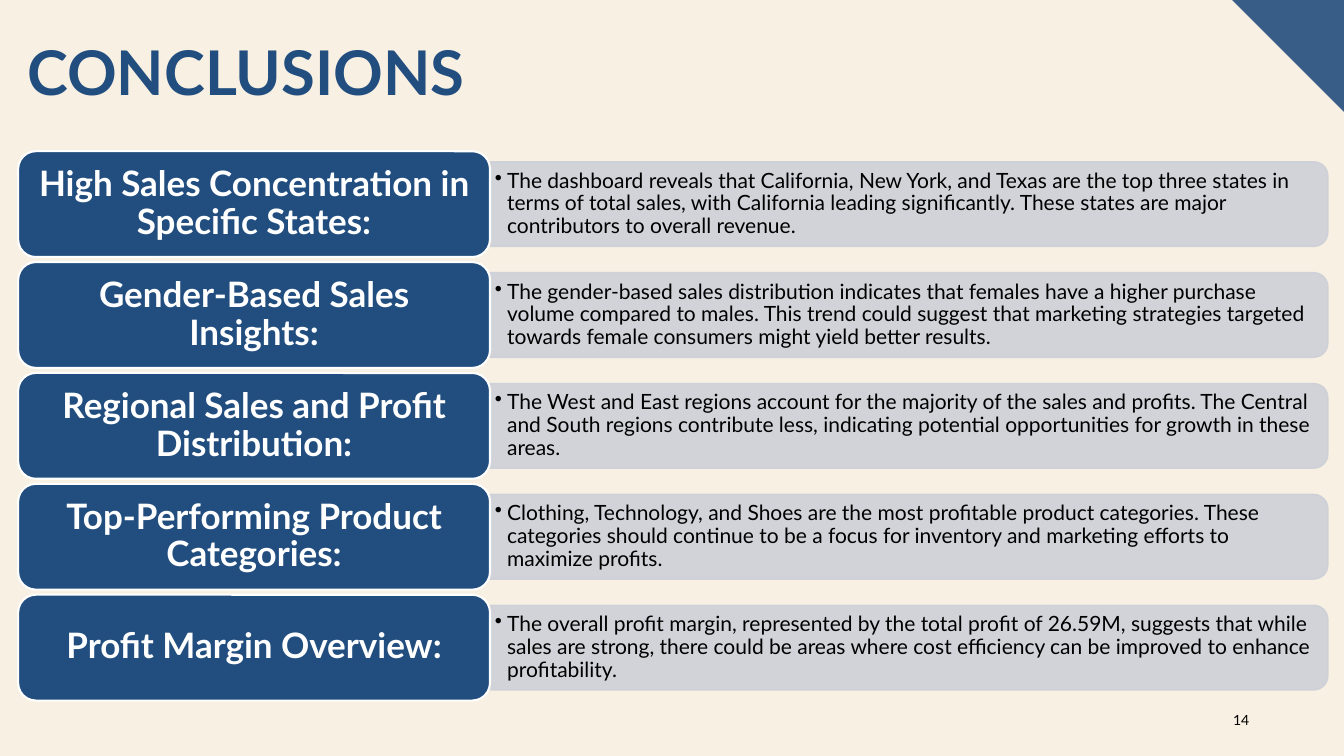
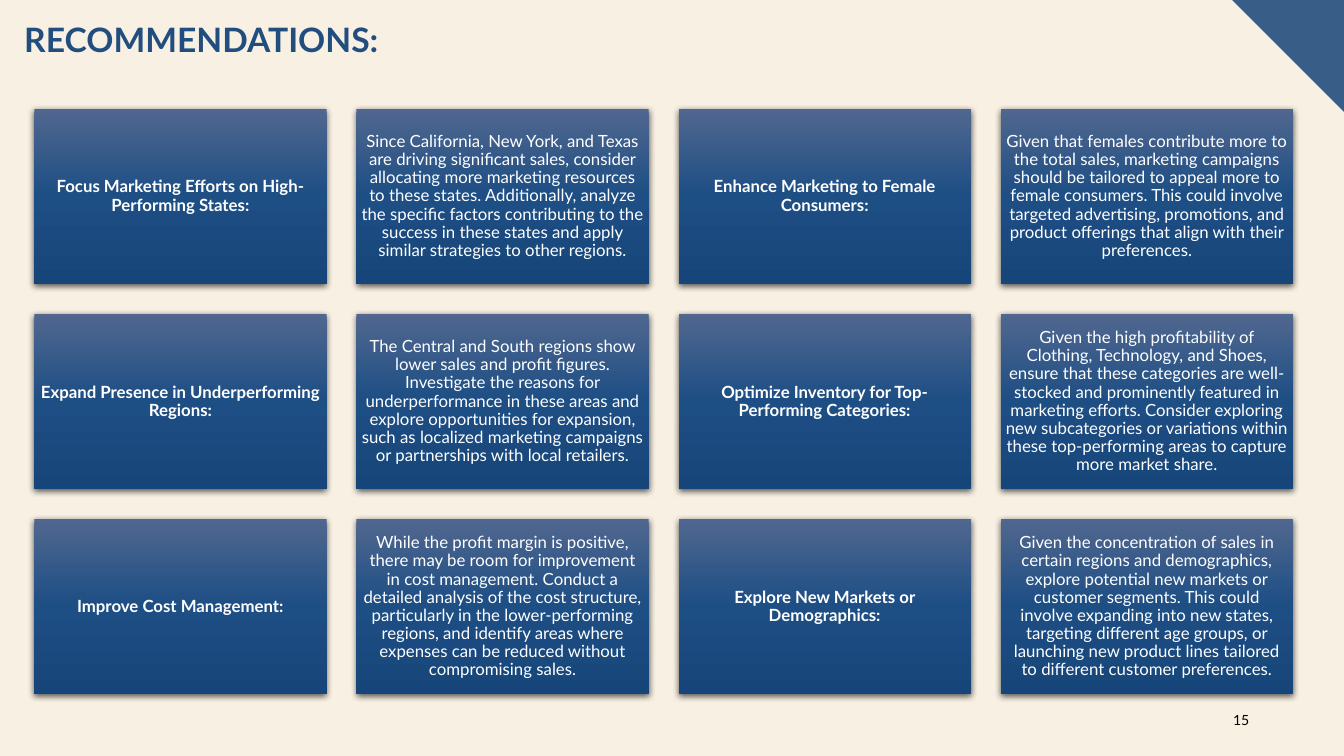
from copy import deepcopy

from lxml import etree
from pptx import Presentation
from pptx.dml.color import RGBColor
from pptx.enum import shapes, text
from pptx.oxml.ns import qn
from pptx.util import Inches, Pt

# Content
CLOSING = [
    ("High Sales Concentration in Specific States:",
     "The dashboard reveals that California, New York, and Texas are the top three states in terms of "
     "total sales, with California leading significantly. These states are major contributors to "
     "overall revenue."),
    ("Gender-Based Sales Insights:",
     "The gender-based sales distribution indicates that females have a higher purchase volume compared "
     "to males. This trend could suggest that marketing strategies targeted towards female consumers "
     "might yield better results."),
    ("Regional Sales and Profit Distribution:",
     "The West and East regions account for the majority of the sales and profits. The Central and South "
     "regions contribute less, indicating potential opportunities for growth in these areas."),
    ("Top-Performing Product Categories:",
     "Clothing, Technology, and Shoes are the most profitable product categories. These categories "
     "should continue to be a focus for inventory and marketing efforts to maximize profits."),
    ("Profit Margin Overview:",
     "The overall profit margin, represented by the total profit of 26.59M, suggests that while sales "
     "are strong, there could be areas where cost efficiency can be improved to enhance profitability."),
]
ADVICE = [
    ("Focus Marketing Efforts on High-Performing States:",
     "Since California, New York, and Texas are driving significant sales, consider allocating more "
     "marketing resources to these states. Additionally, analyze the specific factors contributing to "
     "the success in these states and apply similar strategies to other regions."),
    ("Enhance Marketing to Female Consumers:",
     "Given that females contribute more to the total sales, marketing campaigns should be tailored to "
     "appeal more to female consumers. This could involve targeted advertising, promotions, and product "
     "offerings that align with their preferences."),
    ("Expand Presence in Underperforming Regions:",
     "The Central and South regions show lower sales and profit figures. Investigate the reasons for "
     "underperformance in these areas and explore opportunities for expansion, such as localized "
     "marketing campaigns or partnerships with local retailers."),
    ("Optimize Inventory for Top-Performing Categories:",
     "Given the high profitability of Clothing, Technology, and Shoes, ensure that these categories are "
     "well-stocked and prominently featured in marketing efforts. Consider exploring new subcategories "
     "or variations within these top-performing areas to capture more market share."),
    ("Improve Cost Management:",
     "While the profit margin is positive, there may be room for improvement in cost management. Conduct "
     "a detailed analysis of the cost structure, particularly in the lower-performing regions, and "
     "identify areas where expenses can be reduced without compromising sales."),
    ("Explore New Markets or Demographics:",
     "Given the concentration of sales in certain regions and demographics, explore potential new "
     "markets or customer segments. This could involve expanding into new states, targeting different "
     "age groups, or launching new product lines tailored to different customer preferences."),
]

# Shared style
FONT = "Lato"
CREAM = RGBColor(0xF8, 0xF0, 0xE3)
NAVY = RGBColor(0x22, 0x4E, 0x7F)
CORNER = RGBColor(0x38, 0x5E, 0x88)
GREY = RGBColor(0xCD, 0xD0, 0xD8)
WHITE = RGBColor(0xFF, 0xFF, 0xFF)
BLACK = RGBColor(0, 0, 0)
BLEND = [(0, RGBColor(0x50, 0x67, 0x8F)), (0.5, RGBColor(0x1D, 0x4E, 0x84)),
         (1, RGBColor(0x16, 0x45, 0x79))]
SHAPE = shapes.MSO_SHAPE
LEFT, CENTER, RIGHT = text.PP_ALIGN.LEFT, text.PP_ALIGN.CENTER, text.PP_ALIGN.RIGHT
TOP, MIDDLE = text.MSO_ANCHOR.TOP, text.MSO_ANCHOR.MIDDLE


def write(shape, words, size, color, bold=False, align=CENTER, anchor=MIDDLE, pad=(0.1, 0.05)):
    frame = shape.text_frame
    frame.word_wrap = True
    frame.auto_size = text.MSO_AUTO_SIZE.NONE
    frame.vertical_anchor = anchor
    frame.margin_left = frame.margin_right = Inches(pad[0])
    frame.margin_top = frame.margin_bottom = Inches(pad[1])
    para = frame.paragraphs[0]
    para.alignment, para.line_spacing = align, 0.9
    run = para.add_run()
    run.text = words
    run.font.name, run.font.size, run.font.bold = FONT, Pt(size), bold
    run.font.color.rgb = color
    return para


def draw(slide, kind, box, fill=None, line=None, width=1):
    shape = slide.shapes.add_shape(kind, *map(Inches, box))
    shape.shadow.inherit = False
    if fill is not None:
        shape.fill.solid()
        shape.fill.fore_color.rgb = fill
    if line is None:
        shape.line.fill.background()
    else:
        shape.line.color.rgb, shape.line.width = line, Pt(width)
    return shape


def label(slide, box, *args, **style):
    return write(slide.shapes.add_textbox(*map(Inches, box)), *args, **style)


def fade(parent, percent):
    etree.SubElement(parent, qn("a:alpha"), val=str(percent * 1000))


def start(deck, title, size, box, number):
    slide = deck.slides.add_slide(deck.slide_layouts[5])
    corner = draw(slide, SHAPE.RIGHT_TRIANGLE, (12.22, 0, 1.11, 1.11), CORNER)
    corner.rotation = 180
    head = slide.shapes.title
    head.left, head.top, head.width, head.height = map(Inches, box)
    write(head, title, size, NAVY, True, LEFT, TOP)
    label(slide, (11.99, 6.95, 0.5, 0.4), number, 10, BLACK, align=RIGHT)
    return slide


# Row: grey bar with a bullet, navy tab on its left end
def row(slide, top, name, note):
    tall, long, left = 0.84, 8.31, 4.86
    mid = top + 1.05 / 2
    bar = draw(slide, SHAPE.ROUND_2_SAME_RECTANGLE,
               (left + (long - tall) / 2, mid - long / 2, tall, long), GREY, GREY)
    bar.rotation = 90
    for tint in bar._element.spPr.iter(qn("a:srgbClr")):
        fade(tint, 90)
    para = label(slide, (4.85, mid - 0.38, 8.27, 0.76), note, 15, BLACK, align=LEFT, pad=(0.06, 0.03))
    props = para._p.get_or_add_pPr()
    props.set("marL", str(Inches(0.12)))
    props.set("indent", str(-Inches(0.12)))
    etree.SubElement(props, qn("a:buChar"), char="•")
    tab = draw(slide, SHAPE.ROUNDED_RECTANGLE, (0.18, top, 4.68, 1.05), NAVY, WHITE, 1.5)
    write(tab, name, 25, WHITE, True)


# Card: gradient box with a soft shadow below
def card(slide, box, words, bold):
    shape = draw(slide, SHAPE.RECTANGLE, box)
    shape.fill.gradient()
    shape.fill.gradient_angle = 270
    props = shape._element.spPr
    stops = props.find(".//" + qn("a:gsLst"))
    stops.insert(1, deepcopy(stops[0]))
    for stop, (place, color) in zip(shape.fill.gradient_stops, BLEND):
        stop.position, stop.color.rgb = place, color
    shade = etree.SubElement(props.find(qn("a:effectLst")), qn("a:outerShdw"), blurRad=str(Pt(4.5)),
                             dist=str(Pt(1.5)), dir="5400000", algn="ctr", rotWithShape="0")
    fade(etree.SubElement(shade, qn("a:srgbClr"), val="000000"), 63)
    write(shape, words, 12, WHITE, bold, pad=(0.05, 0.05))


def main():
    deck = Presentation()
    deck.slide_width, deck.slide_height = Inches(13.33), Inches(7.5)
    ground = deck.slide_master.background.fill
    ground.solid()
    ground.fore_color.rgb = CREAM

    # Conclusions
    slide = start(deck, "CONCLUSIONS", 44, (0.17, 0.37, 11.66, 1.45), "14")
    for i, (name, note) in enumerate(CLOSING):
        row(slide, 1.5 + 1.1 * i, name, note)

    # Recommendations: heading and detail cards alternate, four to a line
    slide = start(deck, "RECOMMENDATIONS:", 24, (0.14, 0.18, 5.97, 0.84), "15")
    cells = [cell for pair in ADVICE for cell in pair]
    wide, high, gap = 2.9, 1.74, 0.295
    for i, words in enumerate(cells):
        line, col = divmod(i, 4)
        box = (0.34 + col * (wide + gap), 1.08 + line * (high + gap), wide, high)
        card(slide, box, words, i % 2 == 0)

    deck.save("out.pptx")


if __name__ == "__main__":
    main()
